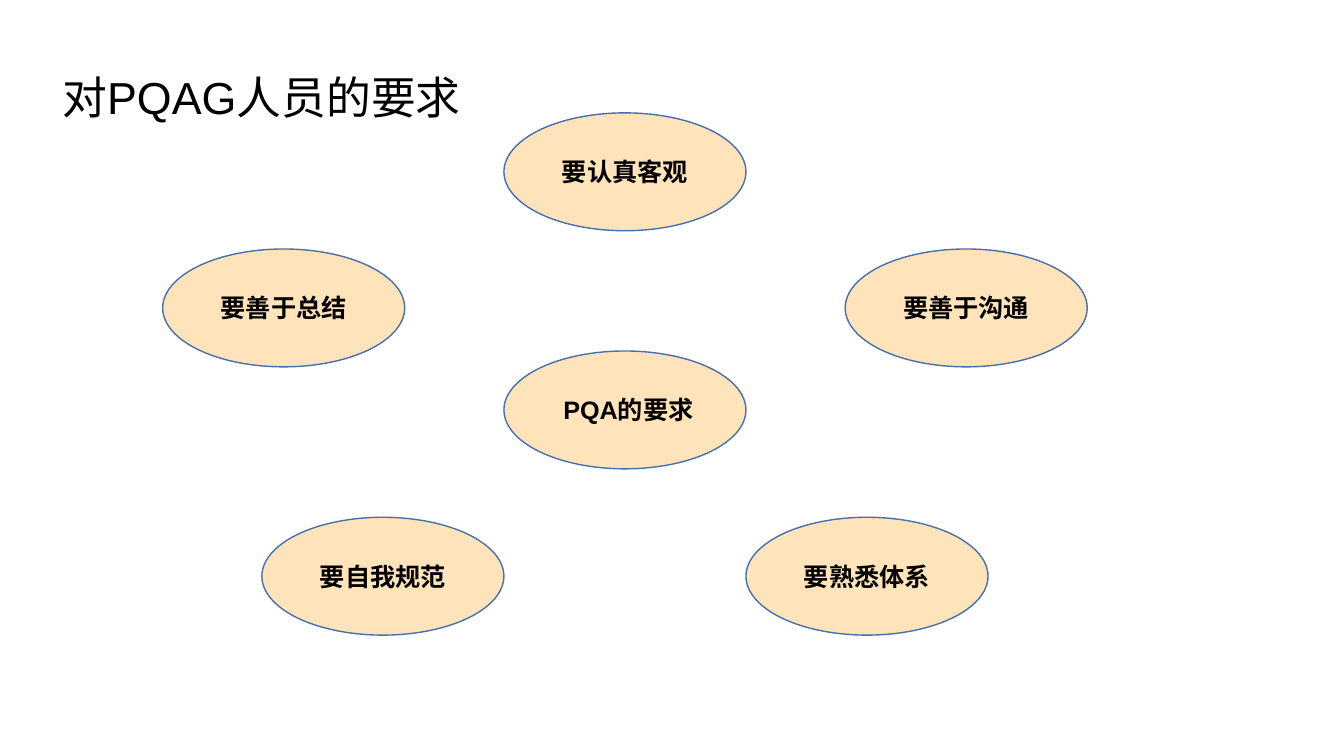
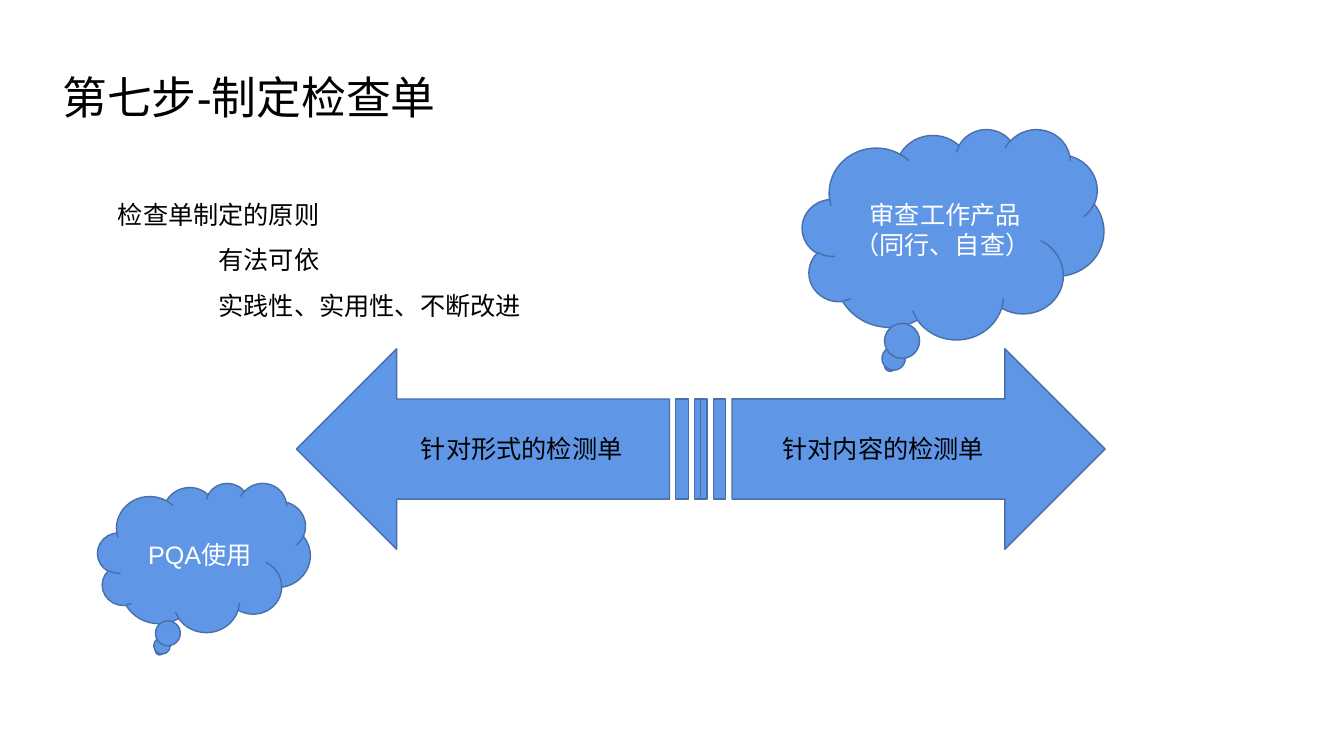
from pptx import Presentation
from pptx import util as u
from pptx.dml.color import RGBColor
from pptx.enum import shapes, text

BLACK = RGBColor(0x00, 0x00, 0x00)
WHITE = RGBColor(0xFF, 0xFF, 0xFF)
PEACH = RGBColor(0xFF, 0xE3, 0xBB)
BLUE = RGBColor(0x60, 0x96, 0xE6)
OUTLINE = RGBColor(0x47, 0x6F, 0xAA)
FONT = "Arial"
TITLE_BOX = (1.32, 1.63, 14.22, 1.63)
LABEL_SIZE = (6.5, 1.02)


def write(frame, lines, size=18, color=BLACK, bold=False, align=text.PP_ALIGN.LEFT,
          anchor=text.MSO_ANCHOR.TOP, spacing=None, indents=()):
    frame.word_wrap = True
    frame.vertical_anchor = anchor
    for index, line in enumerate(lines):
        para = frame.add_paragraph() if index else frame.paragraphs[0]
        para.alignment = align
        if spacing:
            para.line_spacing = spacing
        if indents:
            para._p.get_or_add_pPr().set("marL", str(u.Cm(indents[index])))
        span = para.add_run()
        span.text = line
        span.font.name = FONT
        span.font.size = u.Pt(size)
        span.font.bold = bold
        span.font.color.rgb = color


def add_text(page, box, lines, **style):
    frame = page.shapes.add_textbox(*map(u.Cm, box)).text_frame
    write(frame, lines, **style)


def add_figure(page, kind, box, fill, lines=(), **style):
    figure = page.shapes.add_shape(kind, *map(u.Cm, box))
    figure.shadow.inherit = False
    figure.fill.solid()
    figure.fill.fore_color.rgb = fill
    figure.line.color.rgb = OUTLINE
    figure.line.width = u.Pt(1)
    write(figure.text_frame, lines, align=text.PP_ALIGN.CENTER,
          anchor=text.MSO_ANCHOR.MIDDLE, **style)
    return figure


def add_page(deck, title):
    page = deck.slides.add_slide(deck.slide_layouts[6])
    add_text(page, TITLE_BOX, [title], size=32)
    return page


def add_requirements(page, center_x, center_y, width=6.1, height=2.97):
    requirements = [
        (" PQA的要求", 0, 0),
        ("要善于总结", -8.6, -2.57),
        ("要善于沟通", 8.6, -2.57),
        ("要熟悉体系", 6.1, 4.19),
        ("要自我规范", -6.1, 4.19),
        ("要认真客观", 0, -6),
    ]
    for words, shift_x, shift_y in requirements:
        box = (center_x + shift_x - width / 2, center_y + shift_y - height / 2, width, height)
        add_figure(page, shapes.MSO_SHAPE.OVAL, box, PEACH, [words], bold=True)


def add_principles(page, box):
    add_text(page, box, ["检查单制定的原则", "有法可依", "实践性、实用性、不断改进"],
             spacing=1.5, indents=(0, 2.54, 2.54))


def add_arrow_pair(page, left, top, width, height):
    half = width / 2
    arrows = [(left + half, 0), (left, 180)]
    for arrow_left, rotation in arrows:
        arrow = add_figure(page, shapes.MSO_SHAPE.STRIPED_RIGHT_ARROW,
                           (arrow_left, top, half, height), BLUE)
        arrow.rotation = rotation
    label_top = top + (height - LABEL_SIZE[1]) / 2
    for words, shift in [("针对形式的检测单", 2.89), ("针对内容的检测单", half + 1.81)]:
        add_text(page, (left + shift, label_top, *LABEL_SIZE), [words])


def add_cloud(page, box, lines):
    add_figure(page, shapes.MSO_SHAPE.CLOUD_CALLOUT, box, BLUE, lines, color=WHITE)


def main():
    deck = Presentation()
    deck.slide_width, deck.slide_height = u.Cm(33.87), u.Cm(19.05)

    people = add_page(deck, "对PQAG人员的要求")
    add_requirements(people, 15.75, 10.33)

    checklist = add_page(deck, "第七步-制定检查单")
    add_principles(checklist, (2.72, 4.52, 12, 3.71))
    add_arrow_pair(checklist, 7.47, 8.79, 20.38, 5.05)
    add_cloud(checklist, (2.46, 12.17, 5.36, 3.76), [" PQA使用"])
    add_cloud(checklist, (20.22, 3.25, 7.6, 5.3), [" 审查工作产品", "（同行、自查）"])

    deck.save("out.pptx")


if __name__ == "__main__":
    main()
